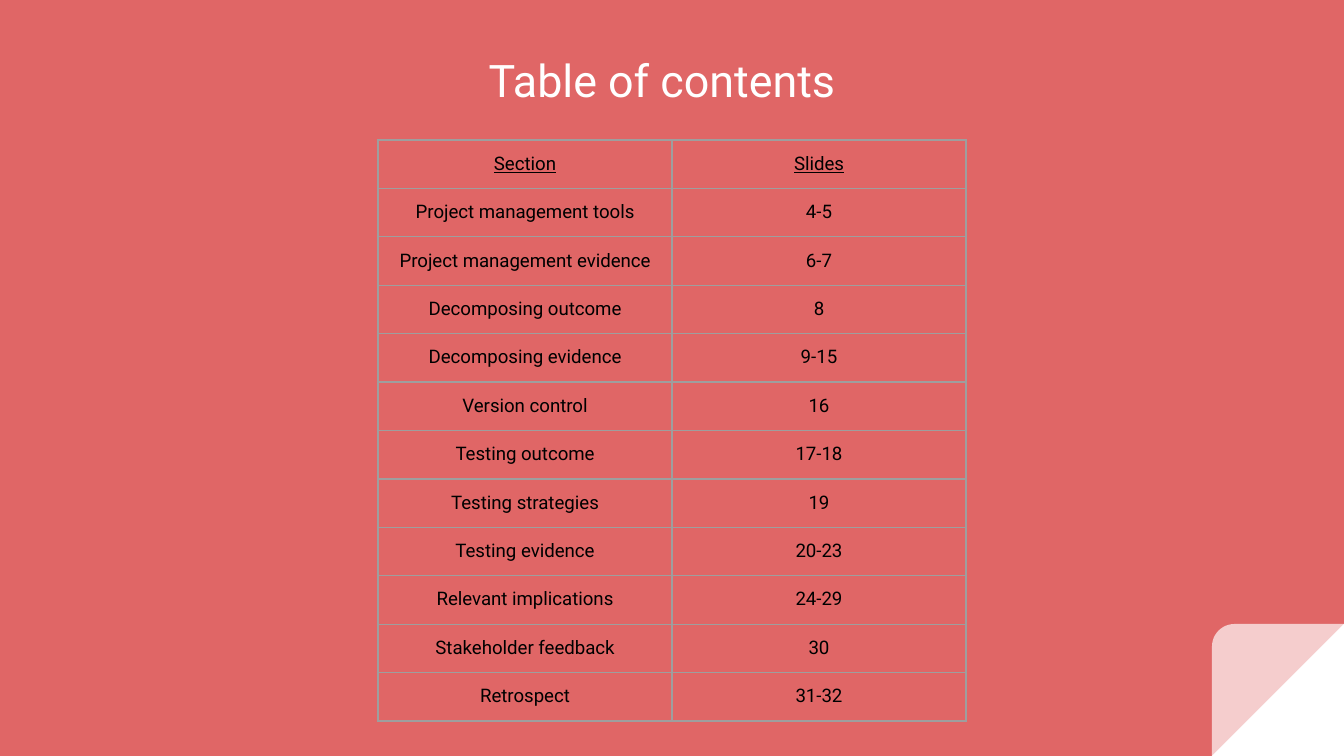
from dataclasses import dataclass

from lxml import etree
from pptx import Presentation
from pptx.dml.color import RGBColor
from pptx.enum.shapes import MSO_SHAPE
from pptx.enum.text import MSO_ANCHOR, PP_ALIGN
from pptx.oxml.ns import qn
from pptx.util import Emu, Pt

TRIANGLE = MSO_SHAPE.RIGHT_TRIANGLE
ROUND_CORNER = MSO_SHAPE.ROUND_1_RECTANGLE
CENTER = PP_ALIGN.CENTER
BOTTOM = MSO_ANCHOR.BOTTOM
TOP = MSO_ANCHOR.TOP

TITLE = "Table of contents"
CONTENTS = [
    ("Section", "Slides"),
    ("Project management tools", "4-5"),
    ("Project management evidence", "6-7"),
    ("Decomposing outcome", "8"),
    ("Decomposing evidence", "9-15"),
    ("Version control", "16"),
    ("Testing outcome", "17-18"),
    ("Testing strategies", "19"),
    ("Testing evidence", "20-23"),
    ("Relevant implications", "24-29"),
    ("Stakeholder feedback", "30"),
    ("Retrospect", "31-32"),
]


@dataclass(frozen=True)
class Theme:
    font: str = "Roboto"
    background: str = "E06666"
    light: str = "FFFFFF"
    dark: str = "000000"
    border: str = "9E9E9E"
    title_size: int = 24
    cell_size: int = 10
    border_width: float = 0.75
    fold_opacity: int = 68


THEME = Theme()
SLIDE_WIDTH, SLIDE_HEIGHT = 1344, 756
FOLD_SIZE = 132
INSET = 13
TITLE_BOX = (58, 36, 1208, 84)
TABLE_LEFT, TABLE_TOP = 378, 140
COLUMN_WIDTH, ROW_HEIGHT = 294, 48
EMU_PER_PX = 914400 / 134.4


def px(length):
    return Emu(round(length * EMU_PER_PX))


def write_text(frame, text, size, color, underline=False):
    """Fill a text frame or cell frame with one centred run."""
    paragraph = frame.paragraphs[0]
    paragraph.alignment = CENTER
    run = paragraph.add_run()
    run.text = text
    run.font.name = THEME.font
    run.font.size = Pt(size)
    run.font.color.rgb = RGBColor.from_string(color)
    run.font.underline = underline


def set_insets(holder):
    holder.margin_left = holder.margin_right = px(INSET)
    holder.margin_top = holder.margin_bottom = px(INSET)


def add_fold_part(slide, kind):
    """Add one mirrored shape in the bottom right corner."""
    shape = slide.shapes.add_shape(
        kind, px(SLIDE_WIDTH - FOLD_SIZE), px(SLIDE_HEIGHT - FOLD_SIZE),
        px(FOLD_SIZE), px(FOLD_SIZE))
    shape.shadow.inherit = False
    shape.line.fill.background()
    shape.fill.solid()
    shape.fill.fore_color.rgb = RGBColor.from_string(THEME.light)
    shape._element.spPr.get_or_add_xfrm().set("flipH", "1")
    return shape


def add_corner_fold(slide):
    add_fold_part(slide, TRIANGLE)
    sheet = add_fold_part(slide, ROUND_CORNER)
    sheet.adjustments[0] = 0.17
    color = sheet._element.spPr.find(qn("a:solidFill"))[0]
    etree.SubElement(color, qn("a:alpha"), val=str(THEME.fold_opacity * 1000))


def add_title(slide):
    box = slide.shapes.add_textbox(*map(px, TITLE_BOX))
    frame = box.text_frame
    frame.word_wrap = True
    frame.vertical_anchor = BOTTOM
    set_insets(frame)
    write_text(frame, TITLE, THEME.title_size, THEME.light)


def set_borders(cell):
    properties = cell._tc.get_or_add_tcPr()
    for index, side in enumerate(("lnL", "lnR", "lnT", "lnB")):
        line = etree.Element(qn(f"a:{side}"), w=str(Pt(THEME.border_width)))
        fill = etree.SubElement(line, qn("a:solidFill"))
        etree.SubElement(fill, qn("a:srgbClr"), val=THEME.border)
        properties.insert(index, line)


def add_contents_table(slide):
    row_count, column_count = len(CONTENTS), len(CONTENTS[0])
    table = slide.shapes.add_table(
        row_count, column_count, px(TABLE_LEFT), px(TABLE_TOP),
        px(column_count * COLUMN_WIDTH), px(row_count * ROW_HEIGHT)).table
    table.first_row = table.horz_banding = False
    for row_index, values in enumerate(CONTENTS):
        for column_index, value in enumerate(values):
            cell = table.cell(row_index, column_index)
            cell.fill.background()
            cell.vertical_anchor = TOP
            set_insets(cell)
            set_borders(cell)
            write_text(cell.text_frame, value, THEME.cell_size, THEME.dark,
                       underline=row_index == 0)


def main():
    presentation = Presentation()
    presentation.slide_width = px(SLIDE_WIDTH)
    presentation.slide_height = px(SLIDE_HEIGHT)
    slide = presentation.slides.add_slide(presentation.slide_layouts[6])
    slide.background.fill.solid()
    slide.background.fill.fore_color.rgb = RGBColor.from_string(THEME.background)
    add_corner_fold(slide)
    add_title(slide)
    add_contents_table(slide)
    presentation.save("out.pptx")


if __name__ == "__main__":
    main()
